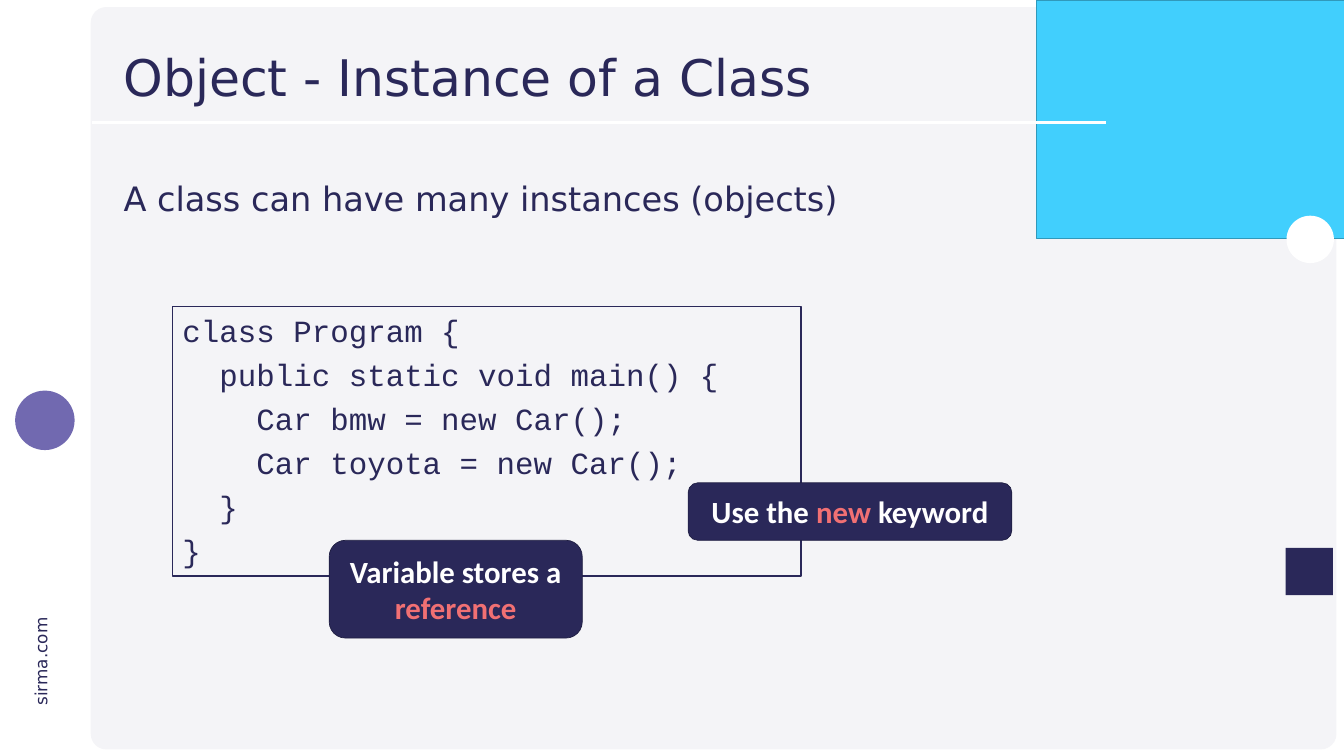
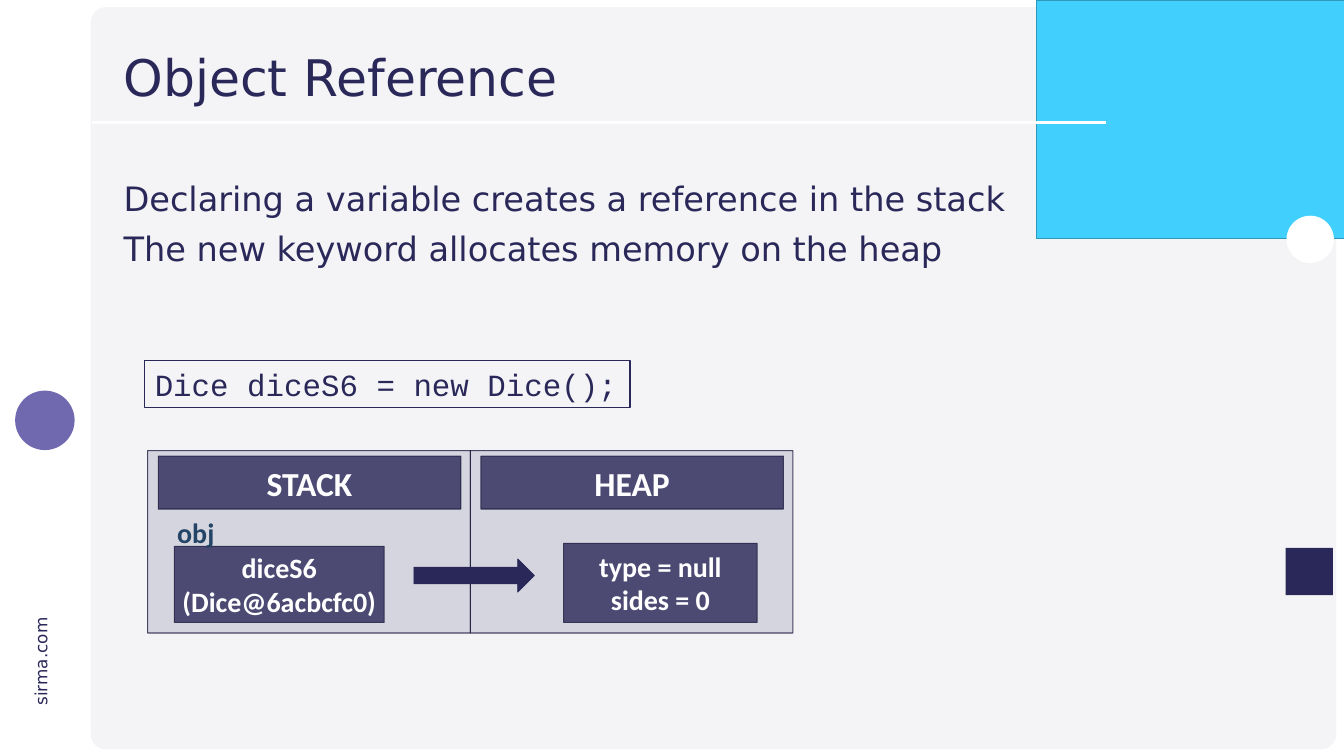
from pptx import Presentation
from pptx.dml.color import RGBColor
from pptx.enum.shapes import MSO_CONNECTOR, MSO_SHAPE as SHAPE
from pptx.enum.text import MSO_ANCHOR as ANCHOR, MSO_AUTO_SIZE as FIT, PP_ALIGN as ALIGN
from pptx.oxml.ns import qn
from pptx.oxml.xmlchemy import OxmlElement
from pptx.util import Inches, Pt

THEME = {
    "navy": "2A2859", "edge": "1F1E42", "panel": "F4F4F7", "sky": "41CFFD",
    "sky_edge": "3099BB", "violet": "7169B0", "white": "FFFFFF",
    "coral": "F17073", "slate": "234465",
    "heading": "DejaVu Sans", "label": "Calibri", "code": "Courier New",
    "title_size": 72, "body_size": 48, "code_size": 44, "callout_size": 44,
    "header_size": 48, "cell_size": 40, "site_size": 24,
}

SITE = "sirma.com"
RULE = (1.83, 2.43, 21.93, 2.43)
TITLE_AT = (2.35, 0.8, 19.57, 1.58)
BODY_AT = (2.35, 3.57, 22.99, 10.32)

BACKDROP = [
    (SHAPE.ROUNDED_RECTANGLE, (1.8, 0.14, 24.71, 14.73), "panel", None),
    (SHAPE.RECTANGLE, (20.56, 0, 6.11, 4.73), "sky", "sky_edge"),
    (SHAPE.RECTANGLE, (1.83, 0.53, 18.34, 2.38), "panel", None),
]
ACCENTS = [
    (SHAPE.RECTANGLE, (25.5, 10.87, 0.94, 0.94), "navy", None),
    (SHAPE.OVAL, (0.3, 7.75, 1.18, 1.18), "violet", None),
    (SHAPE.OVAL, (25.52, 4.28, 0.94, 0.94), "white", None),
]

SLIDES = [
    {
        "title": "Object - Instance of a Class",
        "points": ["A class can have many instances (objects)"],
        "code_at": (3.42, 6.08, 12.47, 5.35),
        "code": [
            "class Program {",
            "  public static void main() {",
            "    Car bmw = new Car();",
            "    Car toyota = new Car();",
            "  }",
            "}",
        ],
        "callouts": [
            ((6.53, 10.72, 5.02, 1.94),
             [("Variable stores a ", "white"), ("reference", "coral")]),
            ((13.65, 9.58, 6.42, 1.14),
             [("Use the ", "white"), ("new ", "coral"), ("keyword", "white")]),
        ],
    },
    {
        "title": "Object Reference",
        "points": [
            "Declaring a variable creates a reference in the stack",
            "The new keyword allocates memory on the heap",
        ],
        "code_at": (2.87, 7.15, 9.63, 0.94),
        "code": ["Dice diceS6 = new Dice();"],
        "memory": {
            "areas": ["STACK", "HEAP"],
            "cells": [
                ((3.46, 10.84, 4.16, 1.51), ["diceS6", "(Dice@6acbcfc0)"]),
                ((11.18, 10.78, 3.84, 1.57), ["type = null", "sides = 0"]),
            ],
            "tag": ("obj", (2.87, 10.05, 2.03, 2.66)),
            "arrow_at": (8.21, 11.09, 2.39, 0.66),
        },
    },
]


def color(name):
    return RGBColor.from_string(THEME[name])


def box(at):
    return [Inches(length) for length in at]


def assign(target, values):
    for name, value in values.items():
        setattr(target, name, value)


def set_alpha(solid_fill, percent):
    alpha = OxmlElement("a:alpha")
    alpha.set("val", str(percent * 1000))
    solid_fill.find(qn("a:srgbClr")).append(alpha)


def draw(shapes, kind, at, fill=None, edge=None, edge_width=1, fill_alpha=None, edge_alpha=None):
    figure = shapes.add_shape(kind, *box(at))
    figure.shadow.inherit = False
    if fill:
        figure.fill.solid()
        figure.fill.fore_color.rgb = color(fill)
    else:
        figure.fill.background()
    if edge:
        figure.line.color.rgb = color(edge)
        figure.line.width = Pt(edge_width)
    else:
        figure.line.fill.background()
    properties = figure.element.spPr
    if fill_alpha:
        set_alpha(properties.find(qn("a:solidFill")), fill_alpha)
    if edge_alpha:
        set_alpha(properties.find(qn("a:ln")).find(qn("a:solidFill")), edge_alpha)
    return figure


def write(frame, lines, font, size, ink="navy", bold=False, gap=0, bullets_off=False,
          frame_format=None, **paragraph_format):
    assign(frame, {"word_wrap": True, "auto_size": FIT.NONE, **(frame_format or {})})
    for index, line in enumerate(lines):
        paragraph = frame.add_paragraph() if index else frame.paragraphs[0]
        assign(paragraph, {"alignment": ALIGN.LEFT, "space_before": Pt(gap if index else 0),
                           **paragraph_format})
        if bullets_off:
            properties = paragraph._p.get_or_add_pPr()
            properties.set("marL", "0")
            properties.set("indent", "0")
            properties.append(OxmlElement("a:buNone"))
        for words, tint in [(line, ink)] if isinstance(line, str) else line:
            run = paragraph.add_run()
            run.text = words
            assign(run.font, {"name": THEME[font], "size": Pt(THEME[size]), "bold": bold})
            run.font.color.rgb = color(tint)


def add_decor(slide, layout):
    inherited = list(slide.shapes)
    panel, *_ = [draw(slide.shapes, *part) for part in BACKDROP]
    panel.adjustments[0] = 0.021
    rule = slide.shapes.add_connector(MSO_CONNECTOR.STRAIGHT, *box(RULE))
    rule.line.color.rgb = color("white")
    rule.line.width = Pt(3)
    rule.element.spPr.append(OxmlElement("a:effectLst"))
    for part in ACCENTS:
        draw(slide.shapes, *part)
    site = slide.shapes.add_textbox(*box((-0.18, 12.86, 1.97, 0.5)))
    site.rotation = 270
    write(site.text_frame, [SITE], "heading", "site_size",
          frame_format={"word_wrap": False, "auto_size": FIT.SHAPE_TO_FIT_TEXT})
    for part in list(slide.shapes)[len(inherited):]:
        layout.shapes.element.append(part.element)


def fill_placeholder(holder, at, lines, size, **text_format):
    assign(holder, dict(zip(("left", "top", "width", "height"), box(at))))
    write(holder.text_frame, lines, "heading", size, line_spacing=0.9, **text_format)


def add_code(shapes, at, lines):
    listing = draw(shapes, SHAPE.RECTANGLE, at, edge="navy", edge_width=2.25)
    write(listing.text_frame, lines, "code", "code_size", gap=10,
          frame_format={"margin_left": Inches(0.2), "margin_right": Inches(0.2),
                        "margin_top": Inches(0.1), "margin_bottom": Inches(0.1),
                        "vertical_anchor": ANCHOR.TOP})


def add_callout(shapes, at, runs):
    callout = draw(shapes, SHAPE.ROUNDED_RECTANGLE, at, "navy", "edge")
    write(callout.text_frame, [runs], "label", "callout_size", bold=True,
          alignment=ALIGN.CENTER, frame_format={"vertical_anchor": ANCHOR.MIDDLE})


def add_memory_box(shapes, at, lines=(), size="cell_size", fill_alpha=80):
    block = draw(shapes, SHAPE.RECTANGLE, at, "navy", "edge", 1.5, fill_alpha, 80)
    write(block.text_frame, lines, "label", size, "white", True,
          alignment=ALIGN.CENTER, frame_format={"vertical_anchor": ANCHOR.MIDDLE})


def add_memory(slide, memory):
    shapes = slide.shapes.add_group_shape().shapes
    left, top, width, height = 2.93, 8.94, 6.4, 3.62
    for index, area in enumerate(memory["areas"]):
        area_left = left + index * width
        add_memory_box(shapes, (area_left, top, width, height), fill_alpha=15)
        add_memory_box(shapes, (area_left + 0.21, top + 0.11, 6, 1.05), [area], "header_size")
    for at, lines in memory["cells"]:
        add_memory_box(shapes, at, lines)
    words, at = memory["tag"]
    tag = shapes.add_textbox(*box(at))
    write(tag.text_frame, [words], "label", "cell_size", "slate", True,
          alignment=ALIGN.CENTER, line_spacing=1.1,
          frame_format={"margin_left": Inches(0.16), "margin_right": Inches(0.16),
                        "margin_top": Inches(0.12), "margin_bottom": Inches(0.12)})
    draw(shapes, SHAPE.RIGHT_ARROW, memory["arrow_at"], "navy", "navy")


def main():
    deck = Presentation()
    deck.slide_width, deck.slide_height = Inches(26.66), Inches(15)
    layout = deck.slide_layouts[1]
    for holder in list(layout.placeholders)[2:]:
        layout.shapes.element.remove(holder.element)
    for number, content in enumerate(SLIDES):
        slide = deck.slides.add_slide(layout)
        if number == 0:
            add_decor(slide, layout)
        title, body = slide.placeholders
        fill_placeholder(title, TITLE_AT, [content["title"]], "title_size",
                         frame_format={"vertical_anchor": ANCHOR.MIDDLE})
        fill_placeholder(body, BODY_AT, content["points"], "body_size", gap=20, bullets_off=True,
                         frame_format={"vertical_anchor": ANCHOR.TOP})
        add_code(slide.shapes, content["code_at"], content["code"])
        for at, runs in content.get("callouts", []):
            add_callout(slide.shapes, at, runs)
        if "memory" in content:
            add_memory(slide, content["memory"])
    deck.save("out.pptx")


if __name__ == "__main__":
    main()
